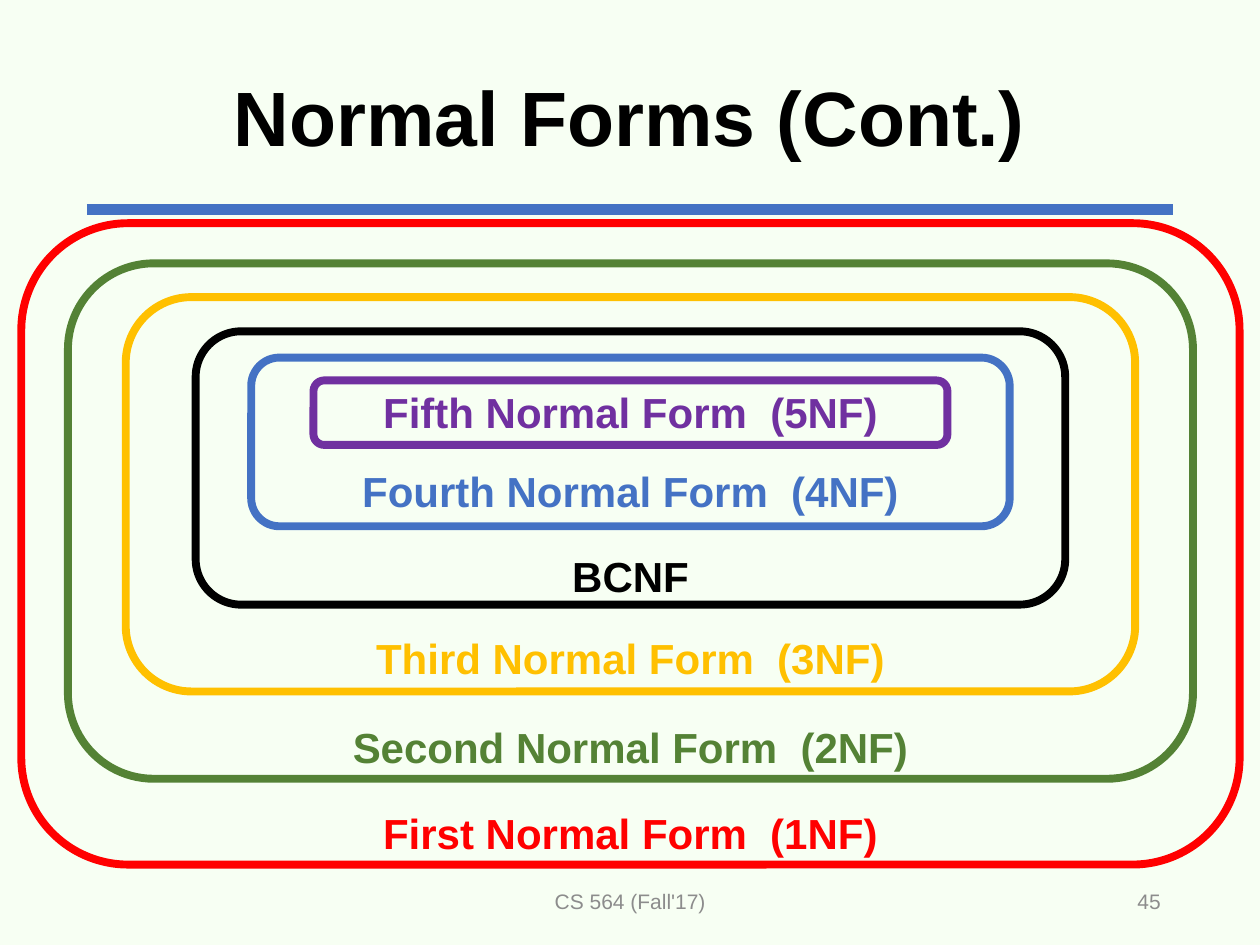
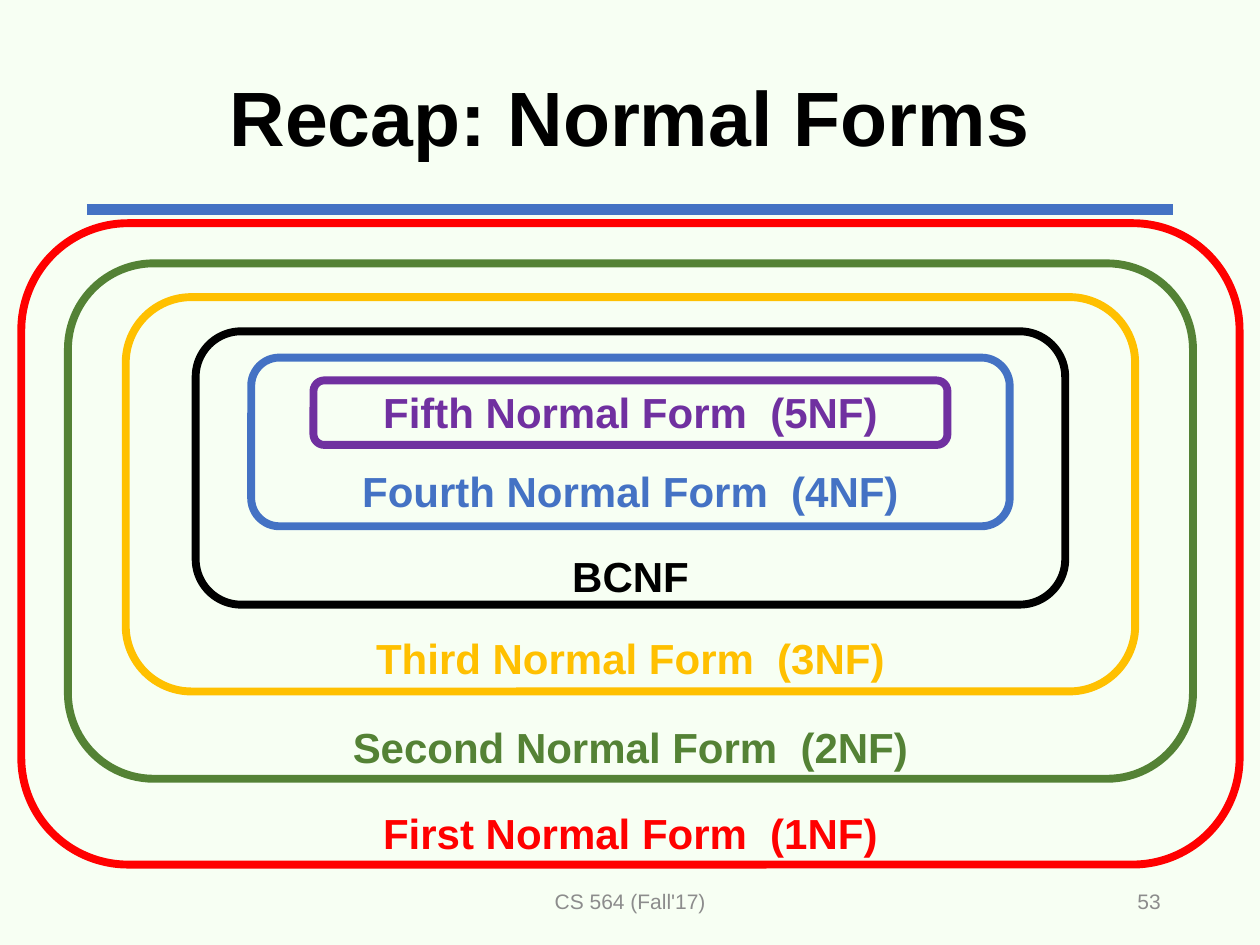
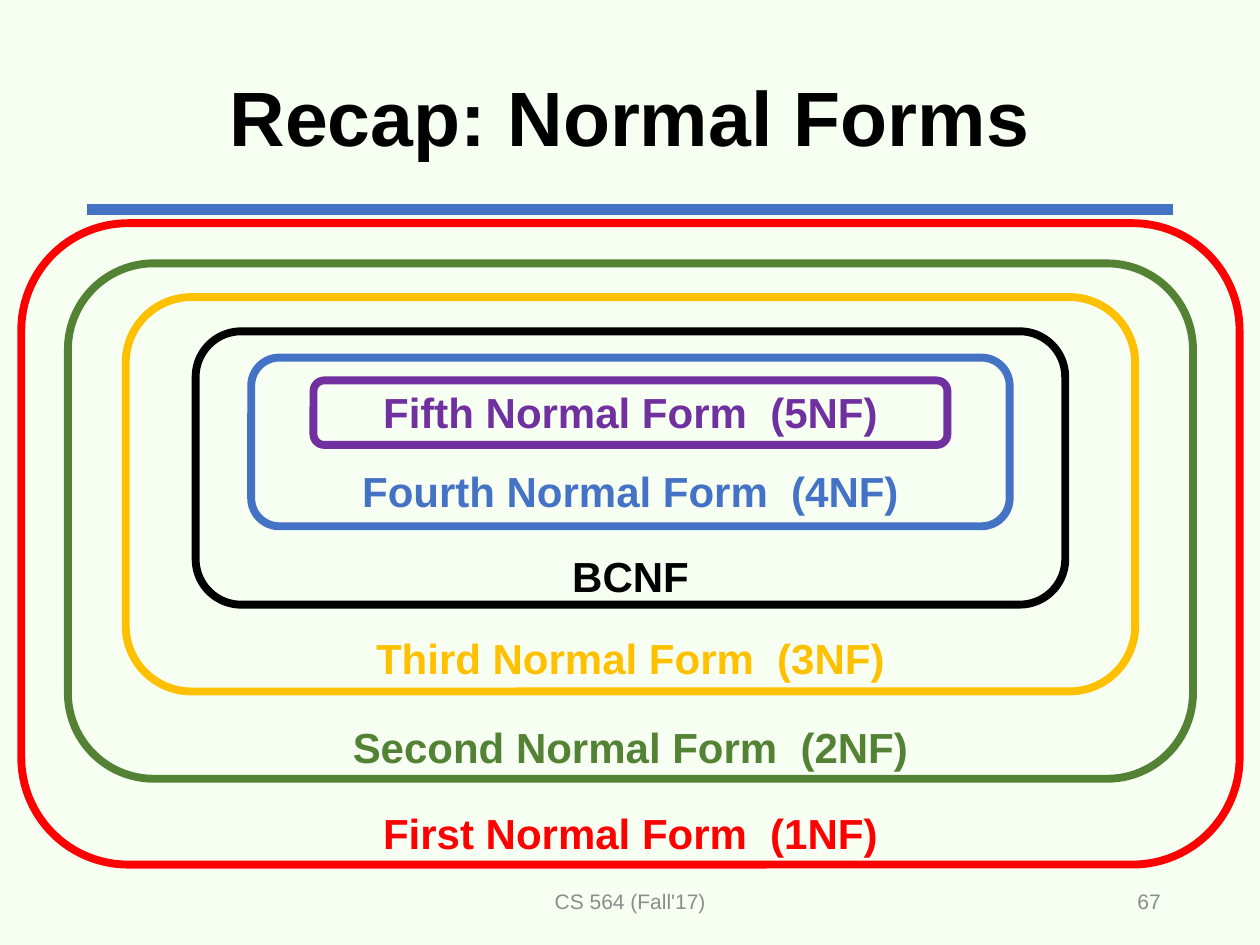
from lxml import etree
from pptx import Presentation
from pptx import util as u
from pptx.dml.color import RGBColor
from pptx.enum import shapes, text
from pptx.oxml.ns import qn

# Shared style
FONT = "Arial"
PAPER, INK, GREY, BLUE = "F7FFF3", "000000", "8C8C8C", "4472C4"
CENTRE, MIDDLE = text.PP_ALIGN.CENTER, text.MSO_ANCHOR.MIDDLE

# Boxes in cm: left, top, width, height
TITLE_BOX = (1.75, 0.61, 21.9, 3.68)
RULE_BOX = (1.75, 4.22, 21.9, 0)
DIAGRAM_BOX = (0.43, 4.5, 24.56, 12.93)
FOOTER_BOX = (8.41, 17.65, 15.24, 1.02)

# Normal forms from outermost to innermost:
# label, colour, ring width, ring top, ring height, label top (cm, in diagram)
FORMS = [
    ("First Normal Form  (1NF)", "FF0000", 24.56, 0, 12.93, 11.65),
    ("Second Normal Form  (2NF)", "548235", 22.68, 0.81, 10.39, 9.93),
    ("Third Normal Form  (3NF)", "FFC000", 20.35, 1.49, 7.95, 8.12),
    ("BCNF", INK, 17.53, 2.18, 5.51, 6.47),
    ("Fourth Normal Form  (4NF)", BLUE, 15.29, 2.71, 3.4, 4.75),
    ("Fifth Normal Form  (5NF)", "7030A0", 12.78, 3.17, 1.3, 3.17),
]
LABEL_W, LABEL_H = 15.65, 1.3

SLIDES = [
    ("Normal Forms (Cont.)", 45),
    ("Recap: Normal Forms", 53),
    ("Recap: Normal Forms", 67),
]


def rgb(color):
    return RGBColor.from_string(color)


def cm(*lengths):
    return [u.Cm(n) for n in lengths]


def write(sp, words, size, color, bold=False, align=CENTRE, anchor=MIDDLE):
    tf = sp.text_frame
    tf.word_wrap = True
    tf.vertical_anchor = anchor
    p = tf.paragraphs[0]
    p.alignment = align
    r = p.add_run()
    r.text = words
    r.font.name, r.font.size, r.font.bold = FONT, u.Pt(size), bold
    r.font.color.rgb = rgb(color)
    return p


def add_label(s, box, *args, **style):
    write(s.shapes.add_textbox(*cm(*box)), *args, **style)


def add_rule(s, layout, box):
    """Draw the line under the title and hand it to the layout."""
    x, y, w, h = box
    rule = s.shapes.add_connector(shapes.MSO_CONNECTOR.STRAIGHT,
                                  *cm(x, y, x + w, y + h))
    rule.line.color.rgb = rgb(BLUE)
    rule.line.width = u.Pt(6)
    etree.SubElement(rule.element.spPr, qn("a:effectLst"))
    layout.shapes.element.append(rule.element)


def add_title(s, box, words):
    sp = s.shapes.title
    sp.left, sp.top, sp.width, sp.height = cm(*box)
    write(sp, words, 44, INK, bold=True).line_spacing = 0.9


def add_footer(s, box, number):
    x, y, w, h = box
    course_w, number_w = 8.59, 5.72
    add_label(s, (x, y, course_w, h), "CS 564 (Fall'17)", 12, GREY)
    add_label(s, (x + w - number_w, y, number_w, h), str(number), 12, GREY,
              align=text.PP_ALIGN.RIGHT)


def add_nested_forms(s, box):
    x, y, w, _ = box
    # Rings, all centred on the box
    for _, color, ring_w, top, ring_h, _ in FORMS:
        ring = s.shapes.add_shape(
            shapes.MSO_SHAPE.ROUNDED_RECTANGLE,
            *cm(x + (w - ring_w) / 2, y + top, ring_w, ring_h))
        ring.shadow.inherit = False
        ring.fill.background()
        ring.line.color.rgb = rgb(color)
        ring.line.width = u.Pt(4.5)
    # Names, each at the foot of its ring
    for name, color, _, _, _, top in FORMS:
        label_w = LABEL_W if "Form" in name else LABEL_W / 3
        add_label(s, (x + (w - label_w) / 2, y + top, label_w, LABEL_H),
                  name, 24, color, bold=True, anchor=text.MSO_ANCHOR.TOP)


prs = Presentation()
prs.slide_width, prs.slide_height = cm(25.4, 19.05)
fill = prs.slide_master.background.fill
fill.solid()
fill.fore_color.rgb = rgb(PAPER)
layout = prs.slide_layouts.get_by_name("Title Only")

for i, (title, number) in enumerate(SLIDES):
    s = prs.slides.add_slide(layout)
    if i == 0:
        add_rule(s, layout, RULE_BOX)
    add_title(s, TITLE_BOX, title)
    add_footer(s, FOOTER_BOX, number)
    add_nested_forms(s, DIAGRAM_BOX)

prs.save("out.pptx")
